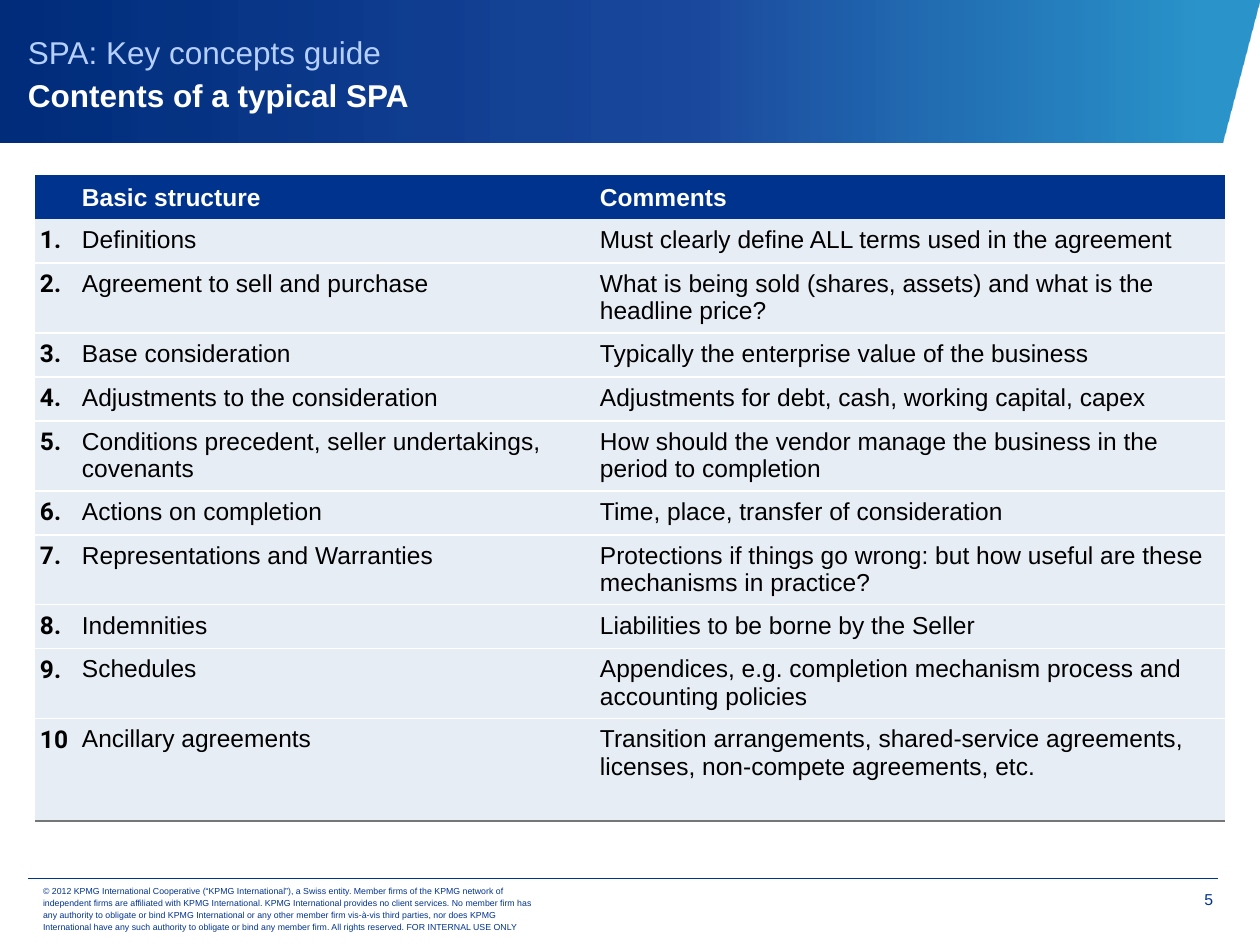
import pptx
import pptx.util
import pptx.dml.color
import pptx.enum.shapes
import pptx.enum.text
import pptx.oxml
import pptx.oxml.ns
from lxml import etree

RGB = pptx.dml.color.RGBColor
NAVY = RGB(0x00, 0x33, 0x8D)
PALE_BLUE = RGB(0xB5, 0xD0, 0xFF)
ROW_FILL = RGB(0xE7, 0xED, 0xF5)
GREY = RGB(0x74, 0x76, 0x78)
WHITE = RGB(0xFF, 0xFF, 0xFF)
BLACK = RGB(0x00, 0x00, 0x00)
# Banner stops: position %, colour, opacity %
BANNER_STOPS = [
    (4, RGB(0x00, 0x80, 0xC0), 83),
    (44, RGB(0x00, 0x34, 0x92), 89),
    (100, RGB(0x00, 0x2C, 0x7A), 100),
]

# Content
TITLE = ("SPA: Key concepts guide", "Contents of a typical SPA")
HEADINGS = ("", "Basic structure", "Comments")
# Number, topic, comment, number of lines the row holds
CONCEPTS = [
    ("1.", "Definitions", "Must clearly define ALL terms used in the agreement", 1),
    ("2.", "Agreement to sell and purchase",
     "What is being sold (shares, assets) and what is the headline price?", 2),
    ("3.", "Base consideration", "Typically the enterprise value of the business", 1),
    ("4.", "Adjustments to the consideration",
     "Adjustments for debt, cash, working capital, capex", 1),
    ("5.", "Conditions precedent, seller undertakings, covenants",
     "How should the vendor manage the business in the period to completion", 2),
    ("6.", "Actions on completion", "Time, place, transfer of consideration", 1),
    ("7.", "Representations and Warranties",
     "Protections if things go wrong: but how useful are these mechanisms in practice?", 2),
    ("8.", "Indemnities", "Liabilities to be borne by the Seller", 1),
    ("9.", "Schedules",
     "Appendices, e.g. completion mechanism process and accounting policies", 2),
    ("10", "Ancillary agreements",
     "Transition arrangements, shared-service agreements, licenses, "
     "non-compete agreements, etc.", 3),
]
COPYRIGHT = (
    "© 2012 KPMG International Cooperative (“KPMG International”), a Swiss entity. "
    "Member firms of the KPMG network of independent firms are affiliated with KPMG "
    "International. KPMG International provides no client services. No member firm has "
    "any authority to obligate or bind KPMG International or any other member firm "
    "vis-à-vis third parties, nor does KPMG International have any such authority to "
    "obligate or bind any member firm. All rights reserved. FOR INTERNAL USE ONLY"
)
PAGE_NUMBER = "5"

# Layout in px
SLIDE_SIZE = (1260, 945)
BANNER = [(-1, 142), (1222, 142), (1260, -1), (-1, 0)]
TABLE_LEFT, TABLE_TOP = 35, 175
COLUMN_WIDTHS = (42, 518, 630)
ROW_HEIGHTS = {1: 44, 2: 70, 3: 102}  # by number of lines
TABLE_TEXT_SIZE = 14
ANCHOR = pptx.enum.text.MSO_ANCHOR
ALIGN = pptx.enum.text.PP_ALIGN


def px(length):
    return pptx.util.Emu(length * 914400 // 126)


def add_span(para, text, size, color, bold=False, font="Arial"):
    span = para.add_run()
    span.text = text
    span.font.size = pptx.util.Pt(size)
    span.font.name = font
    span.font.bold = bold
    span.font.color.rgb = color


def add_box(slide, place, margins, anchor):
    box = slide.shapes.add_textbox(*map(px, place))
    frame = box.text_frame
    frame.word_wrap = True
    frame.vertical_anchor = anchor
    (frame.margin_left, frame.margin_top,
     frame.margin_right, frame.margin_bottom) = map(px, margins)
    return frame.paragraphs[0]


def add_banner(slide):
    builder = slide.shapes.build_freeform(*BANNER[0], scale=914400 / 126)
    builder.add_line_segments(BANNER[1:], close=True)
    banner = builder.convert_to_shape()
    banner.shadow.inherit = False
    banner.line.fill.background()
    banner.fill.gradient()
    gradient = banner.fill._fill._gradFill
    stops = gradient.find(pptx.oxml.ns.qn("a:gsLst"))
    for stop in list(stops):
        stops.remove(stop)
    for position, color, opacity in BANNER_STOPS:
        stops.append(pptx.oxml.parse_xml(
            f'<a:gs {pptx.oxml.ns.nsdecls("a")} pos="{position * 1000}">'
            f'<a:srgbClr val="{color}"><a:alpha val="{opacity * 1000}"/></a:srgbClr></a:gs>'))
    gradient.find(pptx.oxml.ns.qn("a:lin")).set("ang", "10800000")


def set_borders(cell, top, bottom):
    """Each edge is None or (colour, points); the sides stay clear."""
    properties = cell._tc.get_or_add_tcPr()
    for tag, edge in (("lnL", None), ("lnR", None), ("lnT", top), ("lnB", bottom)):
        color, width = edge or (None, 0)
        paint = f'<a:solidFill><a:srgbClr val="{color}"/></a:solidFill>' if edge else "<a:noFill/>"
        properties.append(pptx.oxml.parse_xml(
            f'<a:{tag} {pptx.oxml.ns.nsdecls("a")} w="{int(width * 12700)}">{paint}</a:{tag}>'))


def add_concept_table(slide):
    rows = [HEADINGS] + [concept[:3] for concept in CONCEPTS]
    heights = [ROW_HEIGHTS[1]] + [ROW_HEIGHTS[lines] for *_, lines in CONCEPTS]
    table = slide.shapes.add_table(
        len(rows), len(COLUMN_WIDTHS), px(TABLE_LEFT), px(TABLE_TOP),
        px(sum(COLUMN_WIDTHS)), px(sum(heights))).table
    table.horz_banding = False
    for column, width in zip(table.columns, COLUMN_WIDTHS):
        column.width = px(width)

    # Line below each row: none under the headings, grey under the last
    rules = [None] + [(WHITE, 1)] * (len(CONCEPTS) - 1) + [(GREY, 1.5)]
    for r, texts in enumerate(rows):
        table.rows[r].height = px(heights[r])
        heading = r == 0
        for c, text in enumerate(texts):
            cell = table.cell(r, c)
            set_borders(cell, None if heading else rules[r - 1], rules[r])
            cell.fill.solid()
            cell.fill.fore_color.rgb = NAVY if heading else ROW_FILL
            cell.margin_left = px(5)
            cell.margin_right = px(0 if c == 0 else 5)
            cell.margin_top = px(7)
            cell.margin_bottom = px(7 if heading else 4)
            cell.vertical_anchor = ANCHOR.BOTTOM if heading else ANCHOR.TOP
            para = cell.text_frame.paragraphs[0]
            if text:
                add_span(para, text, TABLE_TEXT_SIZE,
                         WHITE if heading else BLACK, bold=heading or c == 0,
                         font="Roboto" if c == 0 else "Arial")
            else:
                # An empty cell must not be taller than its row
                ending = etree.SubElement(para._p, pptx.oxml.ns.qn("a:endParaRPr"))
                ending.set("sz", str(TABLE_TEXT_SIZE * 100))


def add_footer(slide):
    rule = slide.shapes.add_connector(
        pptx.enum.shapes.MSO_CONNECTOR.STRAIGHT, px(28), px(878), px(1218), px(878))
    rule.line.color.rgb = NAVY
    rule.line.width = pptx.util.Pt(0.25)
    etree.SubElement(rule._element.spPr, pptx.oxml.ns.qn("a:effectLst"))

    para = add_box(slide, (30, 886, 523, 44), (13, 6, 13, 6), ANCHOR.MIDDLE)
    para.line_spacing = pptx.util.Pt(7)
    add_span(para, COPYRIGHT, 5, NAVY)

    para = add_box(slide, (1144, 880, 69, 39), (10, 10, 0, 0), ANCHOR.TOP)
    para.alignment = ALIGN.RIGHT
    add_span(para, PAGE_NUMBER, 9, NAVY)


def main():
    deck = pptx.Presentation()
    deck.slide_width, deck.slide_height = map(px, SLIDE_SIZE)
    slide = deck.slides.add_slide(deck.slide_layouts[6])
    add_banner(slide)
    add_footer(slide)
    add_concept_table(slide)

    # Two-line title on the banner
    para = add_box(slide, (28, 16, 1178, 109), (0, 0, 0, 0), ANCHOR.MIDDLE)
    para.line_spacing = pptx.util.Pt(25)
    add_span(para, TITLE[0], 18, PALE_BLUE)
    para.add_line_break()
    add_span(para, TITLE[1], 18, WHITE, bold=True)
    deck.save("out.pptx")


if __name__ == "__main__":
    main()
